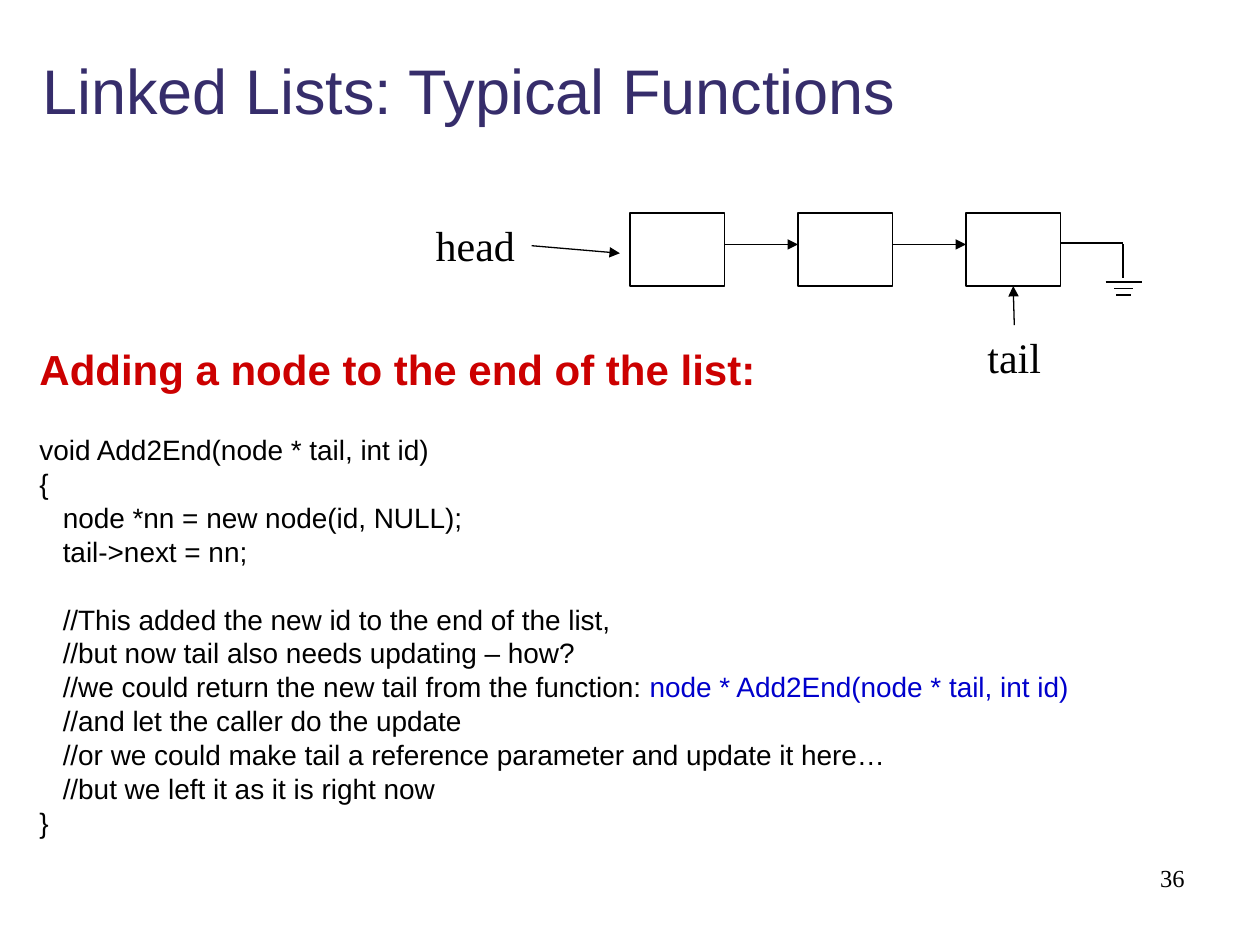
"""Build a slide on adding a node to the end of a linked list."""
import pptx
import pptx.dml.color
import pptx.enum.shapes
import pptx.enum.text
import pptx.util
from lxml import etree

Pt = pptx.util.Pt
rgb = pptx.dml.color.RGBColor.from_string
ALIGN = pptx.enum.text.PP_ALIGN
ANCHOR = pptx.enum.text.MSO_ANCHOR

prs = pptx.Presentation()
prs.slide_width, prs.slide_height = pptx.util.Inches(10), pptx.util.Inches(7.5)
COL, ROW = prs.slide_width / 100, prs.slide_height / 75
s = prs.slides.add_slide(prs.slide_layouts[5])


def write(p, text, size=16, color="000000", font="Arial", bold=False, align=ALIGN.LEFT):
    p.alignment = align
    r = p.add_run()
    r.text = text
    r.font.size, r.font.name, r.font.bold = Pt(size), font, bold
    r.font.color.rgb = rgb(color)


def line(x1, y1, x2, y2, width=0.75, arrow=False):
    c = s.shapes.add_connector(
        pptx.enum.shapes.MSO_CONNECTOR.STRAIGHT,
        round(x1 * COL), round(y1 * ROW), round(x2 * COL), round(y2 * ROW))
    c.line.color.rgb = rgb("000000")
    c.line.width = Pt(width)
    sp_pr = c._element.spPr
    ns = "{http://schemas.openxmlformats.org/drawingml/2006/main}"
    if arrow:
        etree.SubElement(sp_pr.find(ns + "ln"), ns + "tailEnd", type="triangle")
    etree.SubElement(sp_pr, ns + "effectLst")
    return c


title = s.shapes.title
title.left, title.top = round(2.35 * COL), round(1.7 * ROW)
title.width, title.height = round(97.65 * COL), round(10.8 * ROW)
title.text_frame.vertical_anchor = ANCHOR.MIDDLE
write(title.text_frame.paragraphs[0], "Linked Lists: Typical Functions", size=36, color="362D6B")

body = s.shapes.add_textbox(round(2.15 * COL), round(14.7 * ROW), round(96.7 * COL), round(55.9 * ROW))
tf = body.text_frame
tf.word_wrap = True
tf.margin_top = round(12.7 * ROW)
p = tf.paragraphs[0]
p.line_spacing = Pt(28)
write(p, "Adding a node to the end of the list:", size=24, color="CC0000", bold=True)

PITCH = 19.35
code = [
    (0, 21.8, "void Add2End(node * tail, int id)", ""),
    (0, 0, "{", ""),
    (1, 0, "node *nn = new node(id, NULL);", ""),
    (1, 0, "tail->next = nn;", ""),
    (1, PITCH, "//This added the new id to the end of the list,", ""),
    (1, 0, "//but now tail also needs updating – how?", ""),
    (1, 0, "//we could return the new tail from the function: ", "node * Add2End(node * tail, int id)"),
    (1, 0, "//and let the caller do the update", ""),
    (1, 0, "//or we could make tail a reference parameter and update it here…", ""),
    (1, 0, "//but we left it as it is right now", ""),
    (0, 0, "}", ""),
]
for level, gap, text, signature in code:
    p = tf.add_paragraph()
    p.line_spacing, p.space_before = Pt(PITCH), Pt(gap)
    p._p.get_or_add_pPr().set("marL", str(round(level * 1.85 * COL)))
    write(p, text)
    if signature:
        write(p, signature, color="0000CC")

BOX_W, BOX_H, BOX_TOP, STEP = 7.5, 5.8, 16.9, 40 / 3
nodes = []
for i in range(3):
    x = 50 + i * STEP
    sp = s.shapes.add_shape(
        pptx.enum.shapes.MSO_SHAPE.RECTANGLE,
        round(x * COL), round(BOX_TOP * ROW), round(BOX_W * COL), round(BOX_H * ROW))
    sp.shadow.inherit = False
    sp.fill.background()
    sp.line.color.rgb = rgb("000000")
    sp.line.width = Pt(0.75)
    nodes.append(sp)
    if i < 2:
        line(x + BOX_W, 19.4, x + STEP, 19.4, arrow=True)

line(42.2, 19.5, 49.2, 20.1, arrow=True)
line(84.2, 19.3, 89.1, 19.3, width=1)
line(89.1, 19.4, 89.1, 22.1, width=1)
for i, half in enumerate((1.45, 0.75, 0.6)):
    y = 22.4 + i * 0.5
    line(89.2 - half, y, 89.2 + half, y, width=1)

labels = {}
for text, x, y, w, size, align in (
        ("head", 33.6, 16.9, 9.1, 24, ALIGN.LEFT),
        ("tail", 75.5, 25.8, 10, 24, ALIGN.CENTER),
        ("36", 74.2, 68, 20.8, 14, ALIGN.RIGHT)):
    sp = s.shapes.add_textbox(round(x * COL), round(y * ROW), round(w * COL), round(5 * ROW))
    sp.text_frame.word_wrap = True
    write(sp.text_frame.paragraphs[0], text, size=size, font="Times New Roman", align=align)
    labels[text] = sp

c = line(80.5, 25.8, 80.4, 22.7, arrow=True)
c.begin_connect(labels["tail"], 0)
c.end_connect(nodes[-1], 2)

prs.save("out.pptx")
